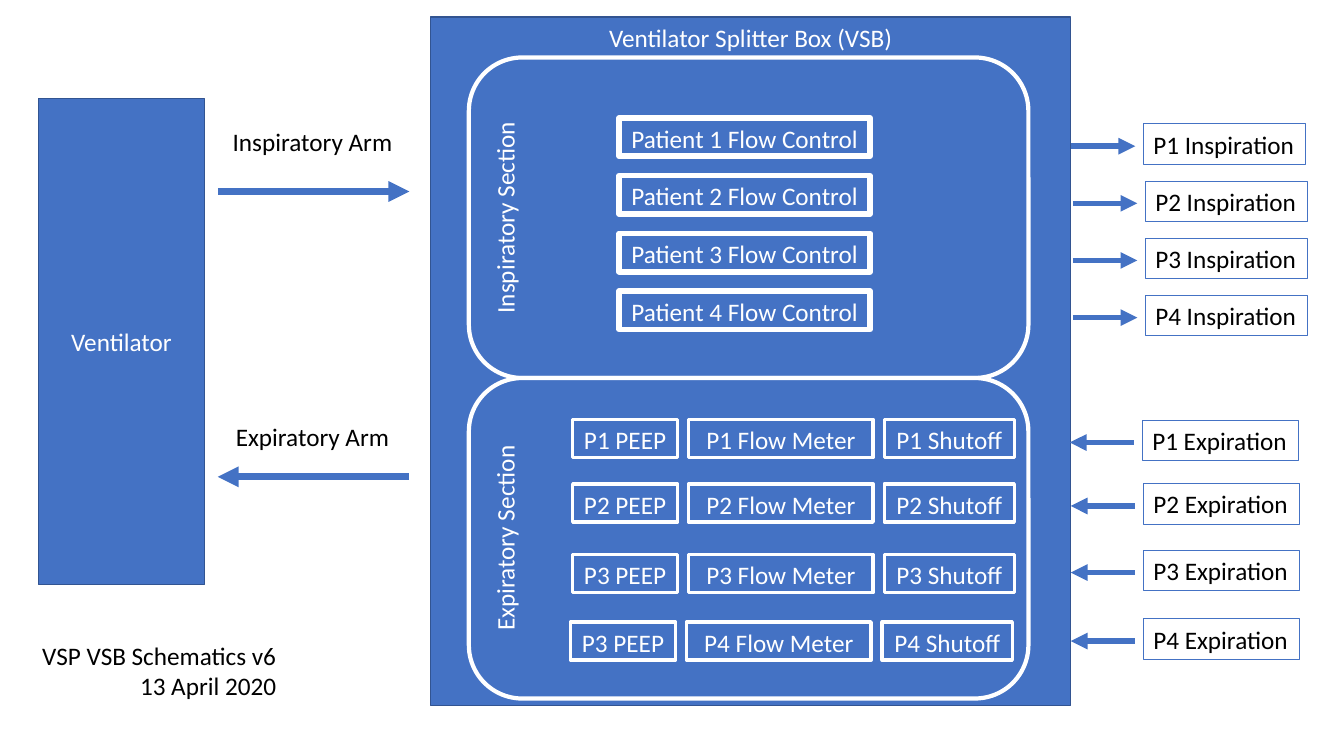
from dataclasses import dataclass

import pptx
import pptx.dml.color
import pptx.enum.shapes
import pptx.enum.text
import pptx.oxml.ns
import pptx.util
from lxml import etree

Inches = pptx.util.Inches
Pt = pptx.util.Pt
RGBColor = pptx.dml.color.RGBColor
Shape = pptx.enum.shapes.MSO_SHAPE
Align = pptx.enum.text.PP_ALIGN
Anchor = pptx.enum.text.MSO_ANCHOR
qn = pptx.oxml.ns.qn

BLUE = RGBColor(0x44, 0x72, 0xC4)
DARK_BLUE = RGBColor(0x32, 0x54, 0x91)
WHITE = RGBColor(0xFF, 0xFF, 0xFF)
BLACK = RGBColor(0x00, 0x00, 0x00)


@dataclass
class Block:
    text: str
    left: float
    top: float
    width: float
    height: float
    line: RGBColor
    weight: float
    kind: int = Shape.RECTANGLE
    anchor: int = Anchor.TOP
    upward: bool = False


@dataclass
class Port:
    text: str
    left: float
    top: float
    width: float
    inbound: bool


@dataclass
class Column:
    name: str
    left: float
    width: float


OUTER_BLOCKS = [
    Block("Ventilator Splitter Box (VSB)", 4.27, 0.17, 6.35, 6.83, DARK_BLUE, 1),
    Block("Ventilator", 0.38, 0.98, 1.65, 4.82, DARK_BLUE, 1, anchor=Anchor.MIDDLE),
]
SECTIONS = [
    Block(f"{name} Section", 4.65, top, 5.55, 3.18, WHITE, 3,
          kind=Shape.ROUNDED_RECTANGLE, upward=True)
    for name, top in (("Inspiratory", 0.57), ("Expiratory", 3.75))
]
FLOW_CONTROLS = [
    Block(f"Patient {i + 1} Flow Control", 6.14, 1.17 + 0.573 * i, 2.49, 0.38, WHITE, 4)
    for i in range(4)
]
COLUMNS = [
    Column("PEEP", 5.68, 1.04),
    Column("Flow Meter", 6.83, 1.83),
    Column("Shutoff", 8.77, 1.29),
]
# Row top, horizontal shift, and the patient number shown in each column
EXPIRATORY_ROWS = [
    (4.16, 0, (1, 1, 1)),
    (4.8, 0, (2, 2, 2)),
    (5.5, 0, (3, 3, 3)),
    (6.17, -0.02, (3, 4, 4)),
]
EXPIRATORY_UNITS = [
    Block(f"P{number} {col.name}", col.left + shift, top, col.width, 0.38, WHITE, 2.5)
    for top, shift, numbers in EXPIRATORY_ROWS
    for col, number in zip(COLUMNS, numbers)
]
PORTS = [
    Port(f"P{i + 1} Inspiration", 11.36 if i else 11.34, 1.23 + 0.567 * i, 1.61, False)
    for i in range(4)
] + [
    Port(f"P{i + 1} Expiration", 11.34 if i else 11.33, top, 1.55, True)
    for i, top in enumerate((4.17, 4.8, 5.46, 6.14))
]


def add_text(p, text: str, color: RGBColor, align: int) -> None:
    p.alignment = align
    r = p.add_run()
    r.text = text
    r.font.name = "Calibri"
    r.font.size = Pt(18)
    r.font.color.rgb = color


def add_block(slide, block: Block) -> None:
    sp = slide.shapes.add_shape(block.kind, Inches(block.left), Inches(block.top),
                                Inches(block.width), Inches(block.height))
    sp.shadow.inherit = False
    sp.fill.solid()
    sp.fill.fore_color.rgb = BLUE
    sp.line.color.rgb = block.line
    sp.line.width = Pt(block.weight)
    tf = sp.text_frame
    tf.word_wrap = True
    tf.vertical_anchor = block.anchor
    if block.upward:
        sp.element.txBody.find(qn("a:bodyPr")).set("vert", "vert270")
    add_text(tf.paragraphs[0], block.text, WHITE, Align.CENTER)


def add_label(slide, text: str, left: float, top: float, width: float,
              height: float = 0.4):
    sp = slide.shapes.add_textbox(Inches(left), Inches(top), Inches(width), Inches(height))
    tf = sp.text_frame
    tf.word_wrap = False
    tf.auto_size = pptx.enum.text.MSO_AUTO_SIZE.SHAPE_TO_FIT_TEXT
    add_text(tf.paragraphs[0], text, BLACK, Align.LEFT)
    return sp


def add_arrow(slide, left: float, right: float, y: float, weight: float,
              leftward: bool) -> None:
    cx = slide.shapes.add_connector(pptx.enum.shapes.MSO_CONNECTOR.STRAIGHT,
                                    Inches(left), Inches(y), Inches(right), Inches(y))
    cx.line.color.rgb = BLUE
    cx.line.width = Pt(weight)
    end = "a:headEnd" if leftward else "a:tailEnd"
    etree.SubElement(cx.line._get_or_add_ln(), qn(end), type="triangle")
    etree.SubElement(cx.element.spPr, qn("a:effectLst"))


def add_port(slide, port: Port) -> None:
    """Draw a patient port: an outlined label with its arrow on the left."""
    sp = add_label(slide, port.text, port.left, port.top, port.width)
    sp.line.color.rgb = BLUE
    sp.line.width = Pt(0.75)
    add_arrow(slide, port.left - 0.72, port.left - 0.08, port.top + 0.22, 4, port.inbound)


def main() -> None:
    prs = pptx.Presentation()
    prs.slide_width = Inches(13.33)
    prs.slide_height = Inches(7.5)
    slide = prs.slides.add_slide(prs.slide_layouts[6])

    for block in OUTER_BLOCKS + SECTIONS + FLOW_CONTROLS + EXPIRATORY_UNITS:
        add_block(slide, block)

    add_label(slide, "Inspiratory Arm", 2.21, 1.2, 1.8)
    add_arrow(slide, 2.16, 4.06, 1.9, 5, leftward=False)
    add_label(slide, "Expiratory Arm", 2.24, 4.13, 1.74)
    add_arrow(slide, 2.16, 4.06, 4.73, 5, leftward=True)

    for port in PORTS:
        add_port(slide, port)

    caption = add_label(slide, "VSP VSB Schematics v6", 0.32, 6.3, 2.55, 0.71)
    add_text(caption.text_frame.add_paragraph(), "13 April 2020", BLACK, Align.RIGHT)

    prs.save("out.pptx")


if __name__ == "__main__":
    main()
